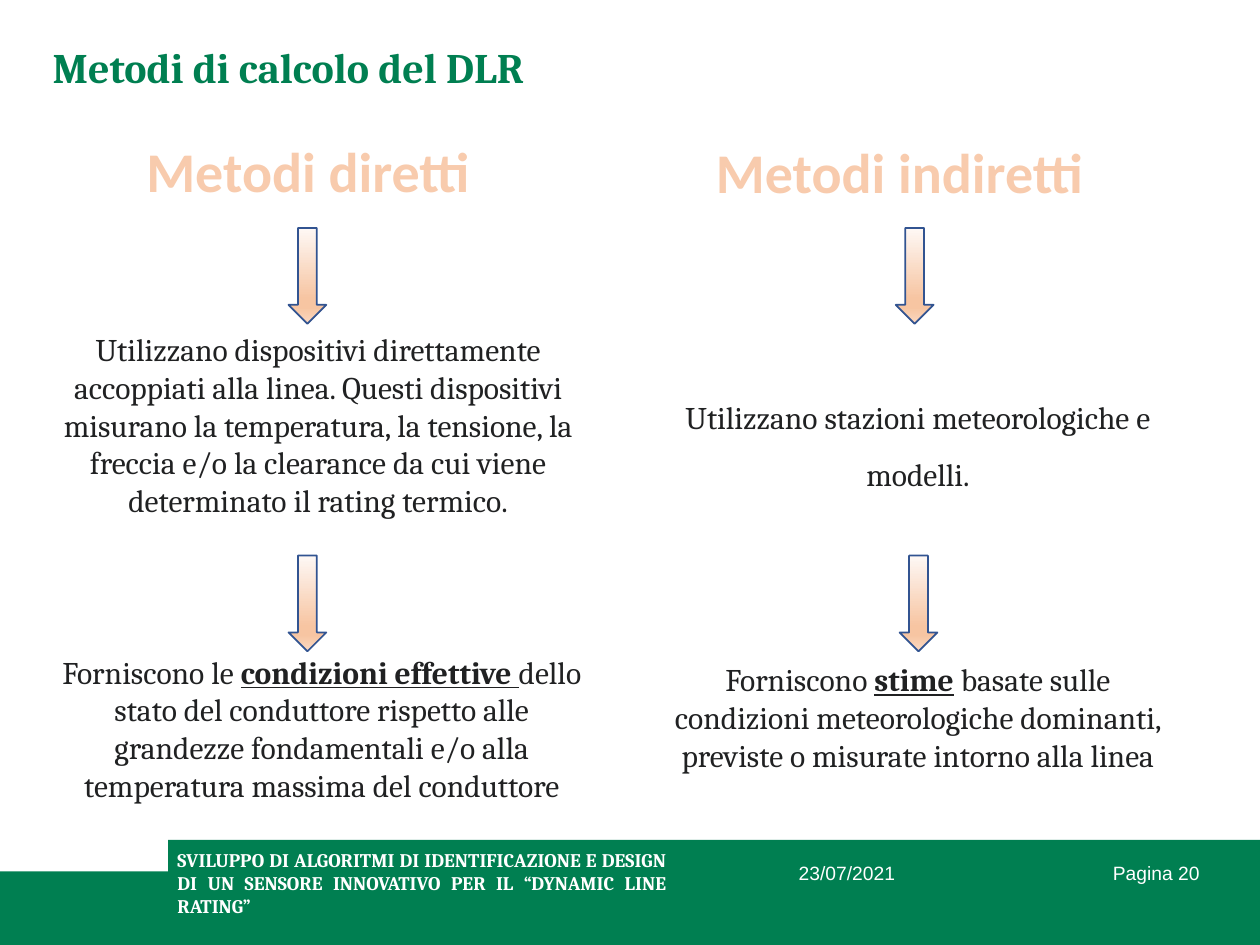
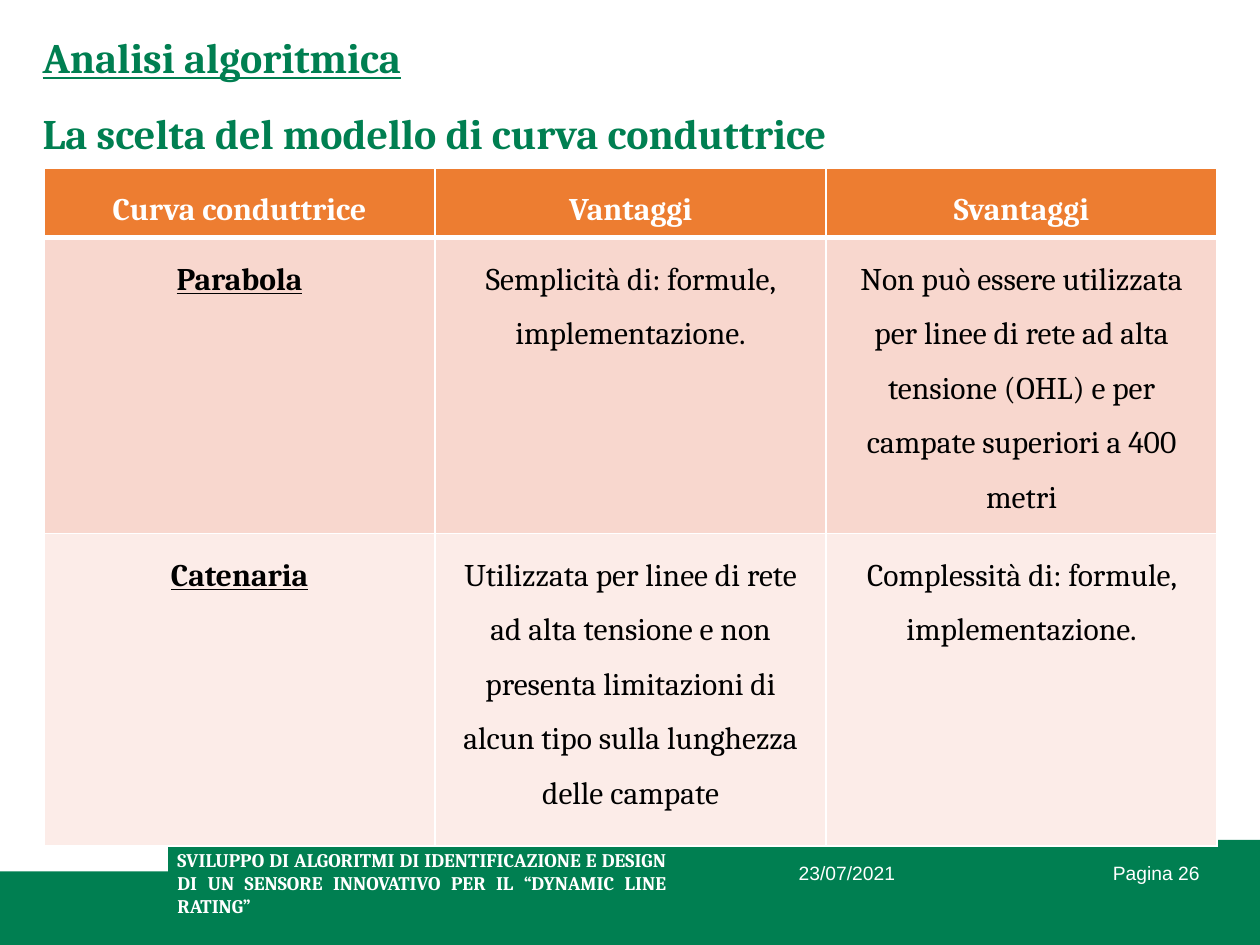
from lxml import etree
from pptx import Presentation
from pptx.dml.color import RGBColor
from pptx.enum.shapes import MSO_SHAPE
from pptx.enum.text import MSO_ANCHOR, MSO_AUTO_SIZE, PP_ALIGN
from pptx.oxml.ns import qn
from pptx.util import Pt

LEFT, CENTER, RIGHT, JUSTIFY = (PP_ALIGN.LEFT, PP_ALIGN.CENTER,
                                PP_ALIGN.RIGHT, PP_ALIGN.JUSTIFY)
TOP, MIDDLE = MSO_ANCHOR.TOP, MSO_ANCHOR.MIDDLE
GROW, FIXED = MSO_AUTO_SIZE.SHAPE_TO_FIT_TEXT, MSO_AUTO_SIZE.NONE
RECTANGLE, DOWN_ARROW = MSO_SHAPE.RECTANGLE, MSO_SHAPE.DOWN_ARROW

GREEN, WHITE, BLACK, INK = "007F51", "FFFFFF", "000000", "202122"
ORANGE, PEACH, ARROW_LINE = "ED7D31", "F8CBAD", "325491"
ARROW_STOPS = [(0, "FEF8F5"), (74, "F7C5A2"), (83, "F7C5A2"), (100, "FAD8C1")]
ROW_FILLS = [ORANGE, "F8D7CE", "FCECE8"]

TITLE = {"name": "Cambria", "size": Pt(24), "bold": True, "color": GREEN}
HEADING = {"name": "Calibri", "size": Pt(32), "bold": True, "color": PEACH}
BODY = {"name": "Cambria", "size": Pt(18), "color": INK}
FOOTER = {"name": "Arial", "size": Pt(11), "color": WHITE}
PROJECT = FOOTER | {"name": "Cambria", "bold": True}
HEADER_CELL = BODY | {"bold": True, "color": WHITE}
CELL = BODY | {"color": BLACK}
STRONG = {"bold": True, "underline": True}

PROJECT_NAME = ("SVILUPPO DI ALGORITMI DI IDENTIFICAZIONE E DESIGN DI UN "
                "SENSORE INNOVATIVO PER IL “DYNAMIC LINE RATING”")


def rgb(color):
    return RGBColor.from_string(color)


def add_solid(parent, color):
    solid = etree.SubElement(parent, qn("a:solidFill"))
    etree.SubElement(solid, qn("a:srgbClr"), val=color)


class Deck:
    def __init__(self):
        self.prs = Presentation()
        self.prs.slide_width, self.prs.slide_height = Pt(720), Pt(540)
        self.slide = None

    def new_slide(self, page):
        """Start a slide with the shared footer."""
        self.slide = self.prs.slides.add_slide(self.prs.slide_layouts[6])
        for box in [(0, 498, 720, 42), (96, 480, 624, 60)]:
            band = self.shape(RECTANGLE, box)
            band.fill.solid()
            band.fill.fore_color.rgb = rgb(GREEN)
        self.text((94.3, 481, 293.8, 47.5), [[PROJECT_NAME]], PROJECT, JUSTIFY)
        footer = {"anchor": MIDDLE, "fit": FIXED}
        self.text((449.3, 481, 149.8, 36), [["23/07/2021"]], FOOTER, **footer)
        self.text((542.9, 481, 149.8, 36), [[f"Pagina {page}"]], FOOTER, RIGHT,
                  **footer)

    def shape(self, kind, box):
        shape = self.slide.shapes.add_shape(kind, *map(Pt, box))
        shape.shadow.inherit = False
        shape.line.fill.background()
        return shape

    def arrow(self, left, top):
        arrow = self.shape(DOWN_ARROW, (left, top, 21.6, 54.7))
        arrow.line.color.rgb = rgb(ARROW_LINE)
        arrow.line.width = Pt(1)
        arrow.fill.gradient()
        arrow.fill.gradient_angle = 270
        stops = arrow._element.spPr.find(".//" + qn("a:gsLst"))
        for stop in list(stops):
            stops.remove(stop)
        for position, color in ARROW_STOPS:
            stop = etree.SubElement(stops, qn("a:gs"), pos=str(position * 1000))
            etree.SubElement(stop, qn("a:srgbClr"), val=color)

    def add_runs(self, paragraph, runs, style, align=LEFT, spacing=1.0):
        """Runs are strings or (string, extra style) pairs."""
        paragraph.alignment, paragraph.line_spacing = align, spacing
        for part in runs:
            words, extra = (part, {}) if isinstance(part, str) else part
            run = paragraph.add_run()
            run.text = words
            for key, value in (style | extra).items():
                if key == "color":
                    run.font.color.rgb = rgb(value)
                else:
                    setattr(run.font, key, value)

    def text(self, box, paragraphs, style, align=LEFT, anchor=TOP, fit=GROW,
             wrap=True, spacing=1.0):
        """Add a text box; each paragraph is a list of runs."""
        frame = self.slide.shapes.add_textbox(*map(Pt, box)).text_frame
        frame.word_wrap, frame.auto_size = wrap, fit
        frame.vertical_anchor = anchor
        for i, runs in enumerate(paragraphs):
            paragraph = frame.add_paragraph() if i else frame.paragraphs[0]
            self.add_runs(paragraph, runs, style, align, spacing)
        return frame

    def heading(self, box, words):
        """Column heading with outlined letters."""
        frame = self.text(box, [[words]], HEADING, CENTER, wrap=False)
        outline = etree.Element(qn("a:ln"), w=str(Pt(1.75)))
        add_solid(outline, ORANGE)
        run = frame.paragraphs[0].runs[0]
        run._r.get_or_add_rPr().insert(0, outline)

    def borders(self, cell, widths):
        props = cell._tc.get_or_add_tcPr()
        for i, (side, width) in enumerate(zip("LRTB", widths)):
            line = etree.Element(qn(f"a:ln{side}"), w=str(Pt(width)))
            add_solid(line, WHITE)
            props.insert(i, line)

    def table(self, box, heights, rows):
        table = self.slide.shapes.add_table(
            len(rows), len(rows[0]), *map(Pt, box)).table
        for r, (height, row) in enumerate(zip(heights, rows)):
            table.rows[r].height = Pt(height)
            for c, words in enumerate(row):
                cell = table.cell(r, c)
                cell.fill.solid()
                cell.fill.fore_color.rgb = rgb(ROW_FILLS[r])
                style = CELL if r else HEADER_CELL
                if r and c == 0:
                    style = style | STRONG
                self.add_runs(cell.text_frame.paragraphs[0], [words], style,
                              CENTER, 1.5)
                # The rule under the header row is thicker
                self.borders(cell, (1, 1, 3 if r == 1 else 1, 1 if r else 3))


def build_methods(deck):
    deck.new_slide(20)
    deck.text((23, 20.2, 306, 36), [["Metodi di calcolo del DLR"]], TITLE,
              wrap=False)
    # Direct methods on the left, indirect methods on the right
    deck.heading((74.9, 74.2, 202.3, 46), "Metodi diretti")
    deck.heading((400.3, 74.9, 227.5, 46), "Metodi indiretti")
    for left, top in [(164.9, 130.3), (511.9, 130.3),
                      (164.9, 317.5), (514.1, 317.5)]:
        deck.arrow(left, top)
    # How they work
    deck.text((28.8, 185, 306, 138.2), [[
        "Utilizzano dispositivi direttamente accoppiati alla linea. Questi "
        "dispositivi misurano la temperatura, la tensione, la freccia e/o la "
        "clearance da cui viene determinato il rating termico."]], BODY, CENTER)
    deck.text((371.5, 213.1, 306, 69), [[
        "Utilizzano stazioni meteorologiche e modelli."]], BODY, CENTER,
        spacing=1.5)
    # What they provide
    deck.text((23, 369.4, 321.8, 94.3), [[
        "Forniscono le ", ("condizioni effettive ", STRONG),
        "dello stato del conduttore rispetto alle grandezze fondamentali e/o "
        "alla temperatura massima del conduttore"]], BODY, CENTER)
    deck.text((371.5, 373.7, 306, 94.3), [[
        "Forniscono ", ("stime", STRONG),
        " basate sulle condizioni meteorologiche dominanti, previste o "
        "misurate intorno alla linea"]], BODY, CENTER)


def build_curve_choice(deck):
    deck.new_slide(26)
    deck.text((17.3, 0, 670.3, 90), [
        [("Analisi algoritmica", {"underline": True})],
        ["La scelta del modello di curva conduttrice"]], TITLE, spacing=1.5)
    # Advantages and drawbacks of each curve
    deck.table((25.2, 96, 670.3, 378.7), (38.9, 161.3, 178.6), [
        ("Curva conduttrice", "Vantaggi", "Svantaggi"),
        ("Parabola", "Semplicità di: formule, implementazione.",
         "Non può essere utilizzata per linee di rete ad alta tensione (OHL) "
         "e per campate superiori a 400 metri"),
        ("Catenaria",
         "Utilizzata per linee di rete ad alta tensione e non presenta "
         "limitazioni di alcun tipo sulla lunghezza delle campate",
         "Complessità di: formule, implementazione."),
    ])


def main():
    deck = Deck()
    build_methods(deck)
    build_curve_choice(deck)
    deck.prs.save("out.pptx")


if __name__ == "__main__":
    main()
